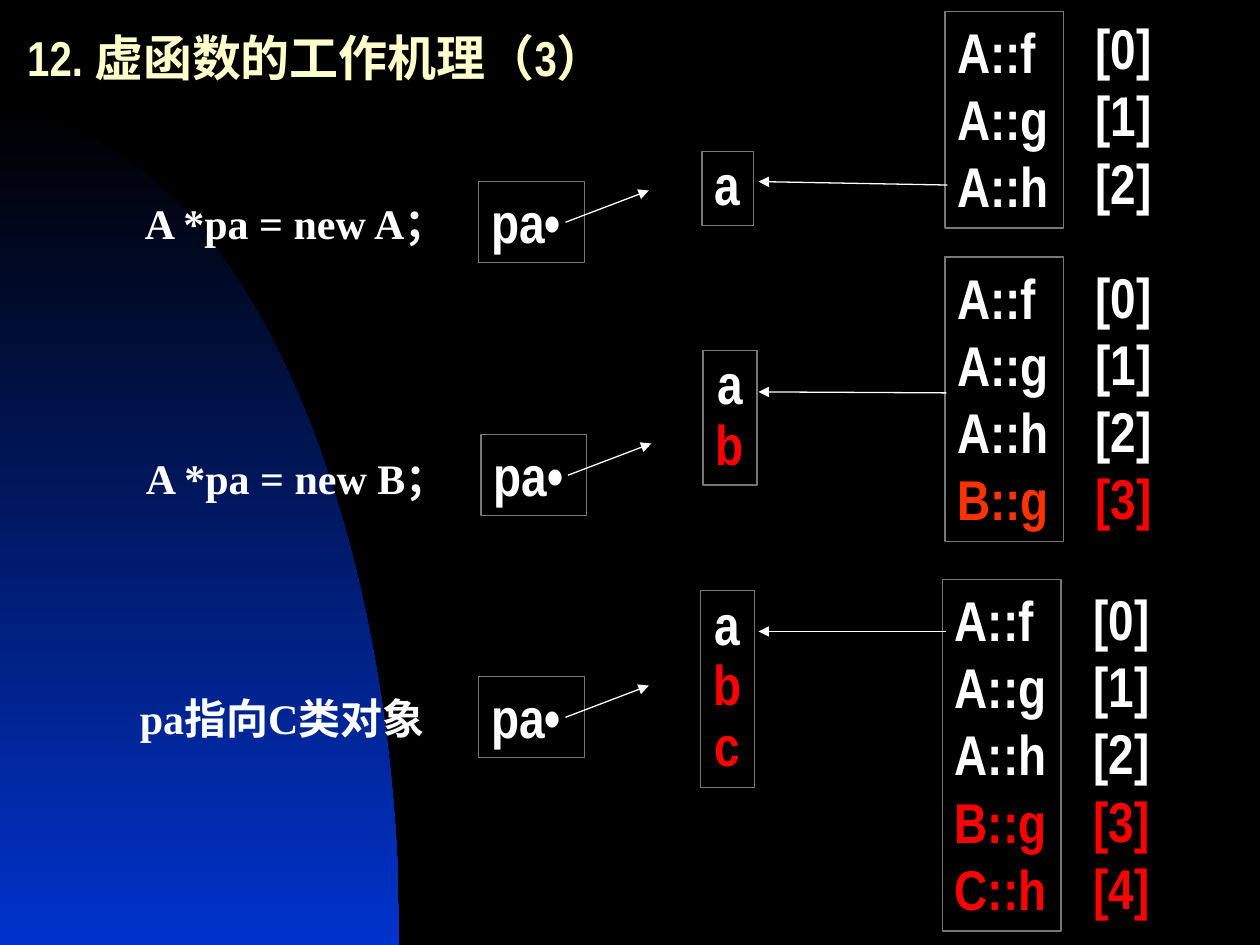
"""Build a slide showing how virtual function tables serve objects of classes A, B and C."""
from dataclasses import dataclass
from typing import Optional

from lxml import etree
from pptx import Presentation
from pptx import util as u
from pptx.dml.color import RGBColor
from pptx.enum import shapes, text
from pptx.oxml.ns import qn


@dataclass(frozen=True)
class Theme:
    background: str = "000000"
    glow: str = "0033CC"
    title: str = "FFFFCC"
    white: str = "FFFFFF"
    red: str = "FF0000"
    orange: str = "FF3300"
    border: str = "777777"
    label_font: str = "Arial Narrow"
    caption_font: str = "Times New Roman"
    title_size: int = 28
    label_size: int = 32
    caption_size: int = 24
    line_width: float = 0.75


@dataclass(frozen=True)
class Box:
    left: float
    top: float
    width: float
    height: float


@dataclass(frozen=True)
class Style:
    font: str
    size: int
    align: text.PP_ALIGN = text.PP_ALIGN.LEFT
    spacing: Optional[float] = None
    wrap: bool = False
    anchor: text.MSO_ANCHOR = text.MSO_ANCHOR.TOP


@dataclass(frozen=True)
class Case:
    caption: str
    caption_box: Box
    pointer: Box
    members: str
    member_box: Box
    entries: tuple[str, ...]
    entry_box: Box
    index_box: Box
    link: tuple[float, float, float, float]
    override_color: str


THEME = Theme()
TITLE = Style(THEME.label_font, THEME.title_size, spacing=0.7, wrap=True,
              anchor=text.MSO_ANCHOR.MIDDLE)
LABEL = Style(THEME.label_font, THEME.label_size)
MEMBER = Style(THEME.label_font, THEME.label_size, text.PP_ALIGN.CENTER, 0.9)
CAPTION = Style(THEME.caption_font, THEME.caption_size, wrap=True)
BASE_ENTRIES = ("A::f", "A::g", "A::h")
CASES = (
    Case("A *pa = new A；", Box(2.67, 3.86, 7.7, 1.27), Box(9.65, 3.66, 2.13, 1.63),
         "a", Box(14.15, 3.05, 1.04, 1.5),
         BASE_ENTRIES, Box(19.05, 0.23, 2.39, 4.37), Box(21.84, 0.15, 1.65, 4.32),
         (19.1, 3.73, 15.29, 3.66), THEME.white),
    Case("A *pa = new B；", Box(2.69, 8.99, 7.7, 1.27), Box(9.7, 8.76, 2.13, 1.63),
         "ab", Box(14.17, 7.06, 1.09, 2.72),
         BASE_ENTRIES + ("B::g",), Box(19.05, 5.18, 2.39, 5.74), Box(21.84, 5.16, 1.65, 5.74),
         (19.08, 7.92, 15.29, 7.9), THEME.orange),
    Case("pa指向C类对象", Box(2.57, 13.84, 6.3, 1.27), Box(9.65, 13.64, 2.13, 1.63),
         "abc", Box(14.12, 11.91, 1.09, 3.96),
         BASE_ENTRIES + ("B::g", "C::h"), Box(19, 11.68, 2.39, 7.09),
         Box(21.79, 11.66, 1.65, 7.09), (19.08, 12.73, 15.29, 12.73), THEME.red),
)


def rgb(color: str) -> RGBColor:
    """Turn a hex string into a colour."""
    return RGBColor.from_string(color)


def highlight(lines, base_count: int, color: str) -> list[tuple[str, str]]:
    """Pair inherited lines with white and the later ones with the given colour."""
    return [(line, THEME.white if row < base_count else color) for row, line in enumerate(lines)]


def add_text(slide, box: Box, lines: list[tuple[str, str]], style: Style, framed: bool = False):
    """Add coloured lines of text, in a bordered rectangle if framed."""
    place = [u.Cm(length) for length in (box.left, box.top, box.width, box.height)]
    if framed:
        shape = slide.shapes.add_shape(shapes.MSO_SHAPE.RECTANGLE, *place)
        shape.shadow.inherit = False
        shape.fill.background()
        shape.line.color.rgb = rgb(THEME.border)
        shape.line.width = u.Pt(THEME.line_width)
    else:
        shape = slide.shapes.add_textbox(*place)
    frame = shape.text_frame
    frame.text = "\n".join(line for line, _ in lines)
    frame.word_wrap = style.wrap
    frame.vertical_anchor = style.anchor
    if style is not TITLE:
        frame.auto_size = text.MSO_AUTO_SIZE.SHAPE_TO_FIT_TEXT
    for paragraph, (_, color) in zip(frame.paragraphs, lines):
        paragraph.alignment = style.align
        paragraph.line_spacing = style.spacing
        for run in paragraph.runs:
            run.font.name = style.font
            run.font.size = u.Pt(style.size)
            run.font.bold = True
            run.font.color.rgb = rgb(color)


def add_arrow(slide, start_x: float, start_y: float, end_x: float, end_y: float) -> None:
    """Add a thin white arrow whose head is at the end point."""
    arrow = slide.shapes.add_connector(
        shapes.MSO_CONNECTOR.STRAIGHT, *map(u.Cm, (start_x, start_y, end_x, end_y)))
    arrow.line.color.rgb = rgb(THEME.white)
    arrow.line.width = u.Pt(THEME.line_width)
    etree.SubElement(arrow.line._get_or_add_ln(), qn("a:tailEnd"), type="triangle")
    etree.SubElement(arrow._element.spPr, qn("a:effectLst"))


def add_glow(slide, top: float, right: float, bottom: float, steps: int = 80) -> None:
    """Add the quarter ellipse that fades from black to blue."""
    controls = ((0, top), (4.45, top), (right, 9.83), (right, bottom))

    def point(share: float) -> tuple[int, int]:
        """Return the point of the cubic curve at a share of its course."""
        rest = 1 - share
        weights = (rest ** 3, 3 * rest ** 2 * share, 3 * rest * share ** 2, share ** 3)
        x, y = (sum(w * c[axis] for w, c in zip(weights, controls)) for axis in (0, 1))
        return u.Cm(x), u.Cm(y)

    builder = slide.shapes.build_freeform(*point(0))
    curve = [point(step / steps) for step in range(1, steps + 1)]
    builder.add_line_segments(curve + [(u.Cm(0), u.Cm(bottom))], close=True)
    shape = builder.convert_to_shape()
    shape.shadow.inherit = False
    shape.line.fill.background()
    shape.fill.gradient()
    shape.fill.gradient_angle = 270
    for stop, color in zip(shape.fill.gradient_stops, (THEME.background, THEME.glow)):
        stop.color.rgb = rgb(color)


def add_case(slide, case: Case) -> None:
    """Add one pointer, its object and the function table of its class."""
    pointer = case.pointer
    indices = [f"[{row}]" for row in range(len(case.entries))]
    base = len(BASE_ENTRIES)
    add_text(slide, case.caption_box, [(case.caption, THEME.white)], CAPTION)
    add_text(slide, pointer, [("pa•", THEME.white)], LABEL, framed=True)
    add_arrow(slide, pointer.left + 1.75, pointer.top + 0.82,
              pointer.left + 3.43, pointer.top + 0.18)
    add_text(slide, case.member_box, highlight(case.members, 1, THEME.red), MEMBER, framed=True)
    add_text(slide, case.entry_box, highlight(case.entries, base, case.override_color),
             LABEL, framed=True)
    add_text(slide, case.index_box, highlight(indices, base, THEME.red), LABEL)
    add_arrow(slide, *case.link)


def main() -> None:
    """Build and save the presentation."""
    presentation = Presentation()
    presentation.slide_width, presentation.slide_height = u.Cm(25.4), u.Cm(19.05)
    slide = presentation.slides.add_slide(presentation.slide_layouts[6])
    slide.background.fill.solid()
    slide.background.fill.fore_color.rgb = rgb(THEME.background)
    add_glow(slide, top=2.34, right=8.05, bottom=19.05)
    add_text(slide, Box(0.3, 0.13, 23.39, 2.31), [("12. 虚函数的工作机理（3）", THEME.title)], TITLE)
    for case in CASES:
        add_case(slide, case)
    presentation.save("out.pptx")


if __name__ == "__main__":
    main()
